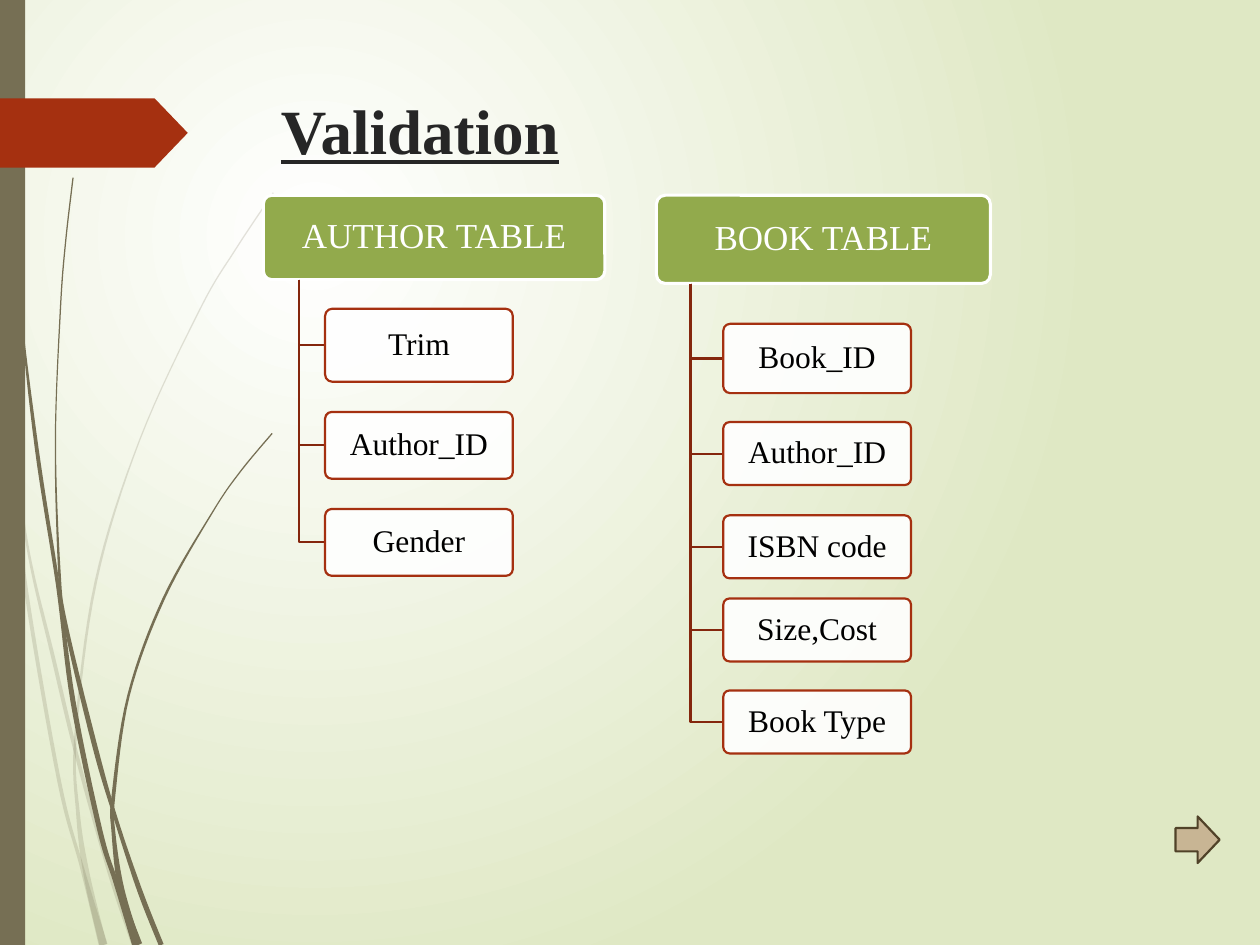
import math
from lxml import etree
from pptx import Presentation
from pptx.dml.color import RGBColor
from pptx.enum.shapes import MSO_SHAPE
from pptx.enum.text import MSO_ANCHOR, PP_ALIGN
from pptx.oxml.ns import qn
from pptx.util import Inches, Pt

RECTANGLE, ROUNDED = MSO_SHAPE.RECTANGLE, MSO_SHAPE.ROUNDED_RECTANGLE
PENTAGON, RIGHT_ARROW = MSO_SHAPE.PENTAGON, MSO_SHAPE.RIGHT_ARROW
TOP, MIDDLE = MSO_ANCHOR.TOP, MSO_ANCHOR.MIDDLE
LEFT, CENTER = PP_ALIGN.LEFT, PP_ALIGN.CENTER

FONT = "Times New Roman"
COLORS = {
    "white": "FFFFFF", "black": "000000", "title": "262626",
    "background": "DFE8C4", "stem": "766F54", "accent": "A53010",
    "branch": "84260D", "header": "92AA4C", "arrow": "C8B594", "arrow_line": "504228",
}

TREES = [
    {"header": ("AUTHOR TABLE", 2.09, 1.55, 2.71, 0.67), "trunk": 2.37, "left": 2.58,
     "fields": [("Trim", 2.45, 0.58), ("Author_ID", 3.27, 0.53), ("Gender", 4.04, 0.53)]},
    {"header": ("BOOK TABLE", 5.21, 1.55, 2.65, 0.7), "trunk": 5.48, "left": 5.74,
     "fields": [("Book_ID", 2.57, 0.55), ("Author_ID", 3.35, 0.5), ("ISBN code", 4.09, 0.5),
                ("Size,Cost", 4.75, 0.5), ("Book Type", 5.48, 0.5)]},
]
FIELD_WIDTH = 1.49

PALE_STEMS = [
    [(0.01, 2.9, 0.02), (0.11, 3.76, 0.03), (0.21, 4.7, 0.03), (0.47, 6.2, 0.03),
     (0.65, 6.88, 0.03), (0.82, 7.5, 0.07)],
    [(0.1, 3.5, 0.01), (0.23, 4.4, 0.02), (0.42, 5.21, 0.03), (0.61, 6, 0.03),
     (0.87, 6.93, 0.03), (1.06, 7.5, 0.03)],
    [(2.17, 1.53, 0.01), (1.87, 1.98, 0.01), (1.59, 2.45, 0.01), (1.11, 3.49, 0.01),
     (0.76, 4.62, 0.02), (0.6, 5.84, 0.02), (0.62, 6.46, 0.03), (0.69, 6.95, 0.05),
     (0.82, 7.5, 0.06)],
]
DARK_STEMS = [
    [(0.03, 0, 0.01), (0.06, 1.1, 0.01), (0.15, 2.33, 0.01), (0.29, 3.55, 0.03),
     (0.46, 4.65, 0.03), (0.58, 5.57, 0.04), (0.79, 6.58, 0.04), (0.92, 7, 0.04),
     (1.09, 7.5, 0.08)],
    [(0.58, 1.41, 0.01), (0.52, 1.93, 0.01), (0.48, 2.45, 0.01), (0.44, 3.49, 0.01),
     (0.47, 4.51, 0.02), (0.52, 4.95, 0.03), (0.75, 5.91, 0.04), (0.92, 6.5, 0.03),
     (1.11, 7.07, 0.04), (1.28, 7.5, 0.04)],
    [(2.16, 3.44, 0.01), (1.91, 3.74, 0.01), (1.69, 4.06, 0.01), (1.3, 4.75, 0.02),
     (1.02, 5.52, 0.02), (0.9, 6.32, 0.03), (0.9, 6.6, 0.03), (0.96, 7.05, 0.05),
     (1.09, 7.5, 0.06)],
]


def color(name):
    return RGBColor.from_string(COLORS[name])


def paint(shape, fill=None, line=None, line_width=1.25, opacity=100):
    shape.shadow.inherit = False
    if fill:
        shape.fill.solid()
        shape.fill.fore_color.rgb = color(fill)
        if opacity < 100:
            value = shape.element.spPr.find(qn("a:solidFill"))[0]
            etree.SubElement(value, qn("a:alpha")).set("val", str(opacity * 1000))
    else:
        shape.fill.background()
    if line:
        shape.line.color.rgb = color(line)
        shape.line.width = Pt(line_width)
    else:
        shape.line.fill.background()
    return shape


def add_preset(kind, left, top, width, height, adjustment=None, **style):
    shape = slide.shapes.add_shape(kind, *map(Inches, (left, top, width, height)))
    if adjustment is not None:
        shape.adjustments[0] = adjustment
    return paint(shape, **style)


def add_outline(points, close, **style):
    points = [(Inches(x), Inches(y)) for x, y in points]
    builder = slide.shapes.build_freeform(*points[0])
    builder.add_line_segments(points[1:], close=close)
    return paint(builder.convert_to_shape(), **style)


def write(shape, text, size, font_color, align=CENTER, anchor=MIDDLE,
          margins=(0.04, 0.03), spacing=0.9, bold=False, underline=False):
    frame = shape.text_frame
    frame.word_wrap = True
    frame.vertical_anchor = anchor
    frame.margin_left = frame.margin_right = Inches(margins[0])
    frame.margin_top = frame.margin_bottom = Inches(margins[1])
    paragraph = frame.paragraphs[0]
    paragraph.alignment = align
    paragraph.line_spacing = spacing
    run = paragraph.add_run()
    run.text = text
    font = run.font
    font.name, font.size, font.bold, font.underline = FONT, Pt(size), bold, underline
    font.color.rgb = color(font_color)


def smooth_curve(knots, steps=8):
    padded = [knots[0], *knots, knots[-1]]
    curve = []
    for a, b, c, d in zip(padded, padded[1:], padded[2:], padded[3:]):
        for t in (step / steps for step in range(steps)):
            curve.append(tuple(
                q + t * (r - p) / 2 + t * t * (2 * p - 5 * q + 4 * r - s) / 2
                + t ** 3 * (3 * q - p - 3 * r + s) / 2
                for p, q, r, s in zip(a, b, c, d)))
    return curve + [knots[-1]]


def add_stem(knots, opacity):
    curve = smooth_curve(knots)
    one_side, other_side = [], []
    for index, (x, y, thickness) in enumerate(curve):
        before, after = curve[max(index - 1, 0)], curve[min(index + 1, len(curve) - 1)]
        angle = math.atan2(after[1] - before[1], after[0] - before[0])
        dx, dy = -math.sin(angle) * thickness / 2, math.cos(angle) * thickness / 2
        one_side.append((x + dx, y + dy))
        other_side.append((x - dx, y - dy))
    add_outline(one_side + other_side[::-1], True, fill="stem", opacity=opacity)


def add_tree(header, trunk, left, fields):
    text, *box = header
    bottom = box[1] + box[3]
    shape = add_preset(ROUNDED, *box, adjustment=0.1, fill="header", line="white",
                       line_width=1.75)
    write(shape, text, 20, "white")
    for name, top, height in fields:
        middle = top + height / 2
        add_outline([(trunk, bottom), (trunk, middle), (left, middle)], False, line="branch")
        shape = add_preset(ROUNDED, left, top, FIELD_WIDTH, height, adjustment=0.1,
                           fill="white", line="accent", opacity=90)
        write(shape, name, 18, "black")


presentation = Presentation()
presentation.slide_width, presentation.slide_height = Inches(10), Inches(7.5)
slide = presentation.slides.add_slide(presentation.slide_layouts[5])

background = slide.background.fill
background.gradient()
for stop, name in zip(background.gradient_stops, ("white", "background")):
    stop.color.rgb = color(name)
gradient = slide.element.find(".//" + qn("a:gradFill"))
gradient.remove(gradient.find(qn("a:lin")))
circle = etree.SubElement(gradient, qn("a:path"))
circle.set("path", "circle")
focus = etree.SubElement(circle, qn("a:fillToRect"))
for side, percent in zip("ltrb", (50, 50, 100, 100)):
    focus.set(side, str(percent * 1000))

for stems, opacity in ((PALE_STEMS, 20), (DARK_STEMS, 100)):
    for knots in stems:
        add_stem(knots, opacity)
add_preset(RECTANGLE, 0, 0, 0.2, 7.5, fill="stem")
add_preset(PENTAGON, 0, 0.78, 1.49, 0.55, adjustment=0.48, fill="accent")

title = slide.shapes.title
title.left, title.top, title.width, title.height = map(Inches, (2.13, 0.68, 7.21, 1.4))
write(title, "Validation", 36, "title", align=LEFT, anchor=TOP, margins=(0.1, 0.05),
      spacing=1.0, bold=True, underline=True)

add_preset(RIGHT_ARROW, 9.33, 6.48, 0.35, 0.37, fill="arrow", line="arrow_line")
for tree in TREES:
    add_tree(**tree)

presentation.save("out.pptx")
